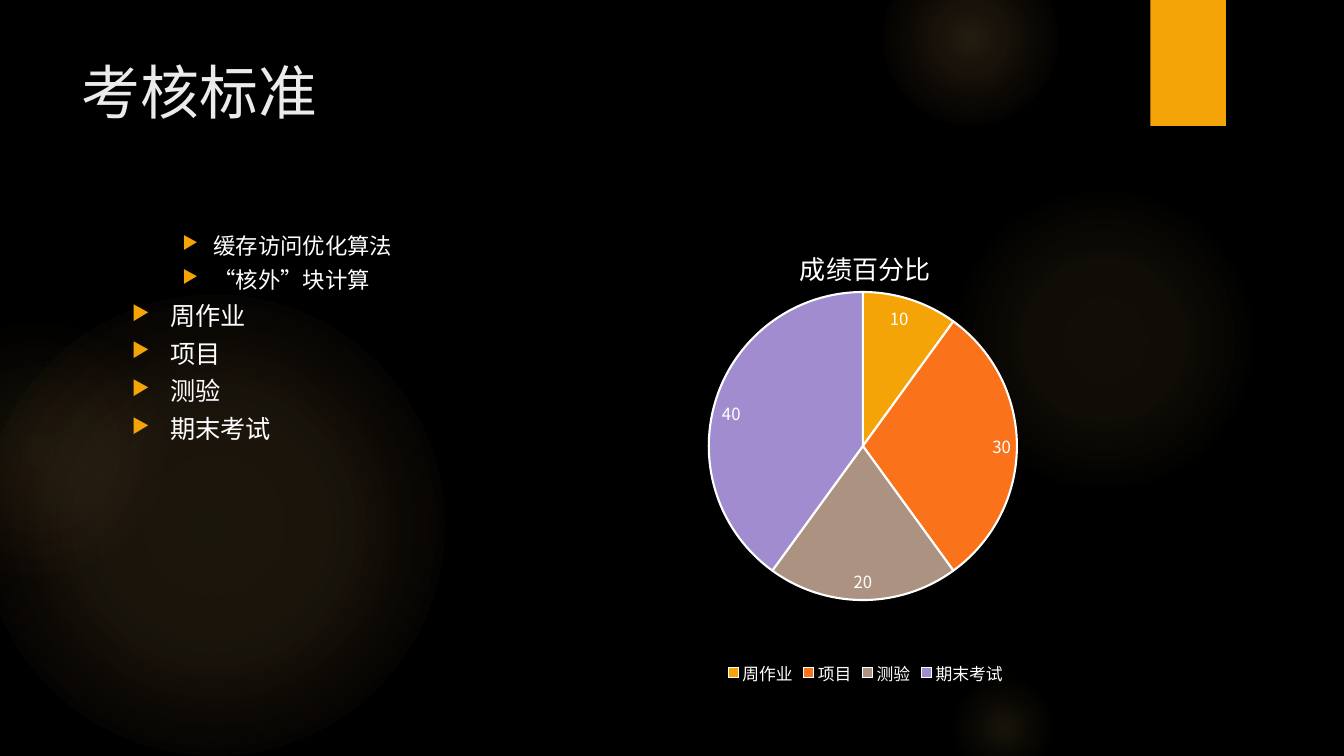
from lxml import etree
from pptx import Presentation
from pptx.chart.data import CategoryChartData
from pptx.dml.color import RGBColor
from pptx.enum.chart import XL_CHART_TYPE as ChartType
from pptx.enum.chart import XL_LABEL_POSITION as LabelPosition
from pptx.enum.chart import XL_LEGEND_POSITION as LegendPosition
from pptx.enum.shapes import MSO_SHAPE as Shape
from pptx.enum.text import MSO_ANCHOR as Anchor
from pptx.enum.text import MSO_AUTO_SIZE as AutoSize
from pptx.enum.text import PP_ALIGN as Align
from pptx.oxml import parse_xml
from pptx.oxml.ns import nsdecls, qn
from pptx.util import Inches, Pt

BLACK = RGBColor(0x00, 0x00, 0x00)
WHITE = RGBColor(0xFF, 0xFF, 0xFF)
TITLE_GRAY = RGBColor(0xEB, 0xEB, 0xEB)
AMBER = RGBColor(0xF5, 0xA4, 0x08)
ORANGE = RGBColor(0xFA, 0x73, 0x1A)
TAUPE = RGBColor(0xAB, 0x92, 0x81)
LILAC = RGBColor(0xA1, 0x8C, 0xD0)
GLOW = RGBColor(0xFA, 0xC9, 0x6A)
GLOW_PINK = RGBColor(0xF5, 0x9B, 0x74)
LATIN_FONT = "Quicksand"
CHINESE_FONT = "Noto Sans CJK SC"

TITLE = "考核标准"
POINTS = [
    ("缓存访问优化算法", 1),
    ("“核外”块计算", 1),
    ("周作业", 0),
    ("项目", 0),
    ("测验", 0),
    ("期末考试", 0),
]
LEVELS = [(18, 0.38, 0.38), (16, 0.81, 0.31)]
CHART_TITLE = "成绩百分比"
GRADES = [
    ("周作业", 10, AMBER),
    ("项目", 30, ORANGE),
    ("测验", 20, TAUPE),
    ("期末考试", 40, LILAC),
]
GLOWS = [
    (-0.17, 2.92, 4.58, [(0, 11), (36, 10), (75, 0)], GLOW),
    (-0.92, 3.17, 2.58, [(0, 8), (36, 5), (71, 0)], GLOW_PINK),
    (9.41, 1.83, 3.08, [(0, 7), (36, 6), (69, 0)], GLOW),
    (8.75, -0.5, 1.75, [(0, 14), (36, 7), (73, 0)], GLOW),
    (9.41, 6.67, 1.08, [(0, 10), (31, 5), (66, 0)], GLOW),
]
COLUMN_LEFTS = (1.21, 6.18)
CONTENT_TOP, CONTENT_WIDTH, CONTENT_HEIGHT = 2.25, 4.81, 4.59
PLOT_AREA = {"x": 0.176, "y": 0.141, "w": 0.637, "h": 0.666}


def box(left, top, width, height):
    return [Inches(value) for value in (left, top, width, height)]


def style_font(font, size, color=WHITE, name=CHINESE_FONT):
    font.size, font.name = Pt(size), name
    font.color.rgb = color


def style_run(run, size, color):
    style_font(run.font, size, color, LATIN_FONT)
    properties = run.font._element
    properties.set("lang", "zh-CN")
    east_asian = etree.SubElement(properties, qn("a:ea"))
    east_asian.set("typeface", CHINESE_FONT)


def add_plain_shape(slide, kind, bounds):
    shape = slide.shapes.add_shape(kind, *bounds)
    shape.shadow.inherit = False
    shape.line.fill.background()
    return shape


def add_glow(slide, left, top, size, stops, edge_color):
    shape = add_plain_shape(slide, Shape.OVAL, box(left, top, size, size))
    colors = [GLOW, GLOW, edge_color]
    stop_xml = "".join(
        f'<a:gs pos="{position * 1000}"><a:srgbClr val="{color}">'
        f'<a:alpha val="{alpha * 1000}"/></a:srgbClr></a:gs>'
        for (position, alpha), color in zip(stops, colors)
    )
    gradient = parse_xml(
        f'<a:gradFill {nsdecls("a")} rotWithShape="1"><a:gsLst>{stop_xml}</a:gsLst>'
        '<a:path path="circle"><a:fillToRect l="50000" t="50000" r="50000" b="50000"/>'
        "</a:path></a:gradFill>"
    )
    shape._element.spPr.find(qn("a:prstGeom")).addnext(gradient)


def add_title(slide):
    title = slide.shapes.title
    title.left, title.top, title.width, title.height = box(0.71, 0.5, 10.29, 1.53)
    frame = title.text_frame
    frame.text = TITLE
    frame.vertical_anchor = Anchor.TOP
    frame.auto_size = AutoSize.NONE
    frame.paragraphs[0].alignment = Align.LEFT
    style_run(frame.paragraphs[0].runs[0], 42, TITLE_GRAY)


def add_points(slide, bounds):
    frame = slide.shapes.add_textbox(*bounds).text_frame
    frame.word_wrap = True
    for index, (text, level) in enumerate(POINTS):
        paragraph = frame.add_paragraph() if index else frame.paragraphs[0]
        size, margin, hanging = LEVELS[level]
        paragraph.text = text
        paragraph.level = level
        paragraph.space_after = Pt(5.3)
        style_run(paragraph.runs[0], size, WHITE)
        properties = paragraph._p.get_or_add_pPr()
        properties.set("marL", str(Inches(margin)))
        properties.set("indent", str(-Inches(hanging)))
        for bullet in (
            f'<a:buClr {nsdecls("a")}><a:srgbClr val="{AMBER}"/></a:buClr>',
            f'<a:buSzPct {nsdecls("a")} val="80000"/>',
            f'<a:buChar {nsdecls("a")} char="▶"/>',
        ):
            properties.append(parse_xml(bullet))


def add_grade_chart(slide, bounds):
    data = CategoryChartData()
    data.categories = [name for name, _, _ in GRADES]
    data.add_series(CHART_TITLE, [value for _, value, _ in GRADES])
    chart = slide.shapes.add_chart(ChartType.PIE, *bounds, data).chart
    style_font(chart.font, 10, name=LATIN_FONT)
    chart.has_title = True
    chart.chart_title.include_in_layout = False
    title_frame = chart.chart_title.text_frame
    title_frame.text = CHART_TITLE
    title_font = title_frame.paragraphs[0].runs[0].font
    style_font(title_font, 18.6)
    title_font.bold = False
    chart.has_legend = True
    chart.legend.position = LegendPosition.BOTTOM
    chart.legend.include_in_layout = False
    style_font(chart.legend.font, 12)

    plot = chart.plots[0]
    plot.vary_by_categories = True
    series = plot.series[0]
    for index, (_, _, color) in enumerate(GRADES):
        slice_format = series.points[index].format
        slice_format.fill.solid()
        slice_format.fill.fore_color.rgb = color
        slice_format.line.color.rgb = WHITE
        slice_format.line.width = Pt(1.5)
    labels = series.data_labels
    labels.show_value = True
    labels.position = LabelPosition.INSIDE_END
    style_font(labels.font, 12)

    plot_area = chart._chartSpace.chart.plotArea
    for old_layout in plot_area.findall(qn("c:layout")):
        plot_area.remove(old_layout)
    sizes = "".join(f'<c:{key} val="{share}"/>' for key, share in PLOT_AREA.items())
    plot_area.insert(0, parse_xml(
        f'<c:layout {nsdecls("c")}><c:manualLayout><c:layoutTarget val="inner"/>'
        f'<c:xMode val="edge"/><c:yMode val="edge"/>{sizes}</c:manualLayout></c:layout>'
    ))


def main():
    presentation = Presentation()
    presentation.slide_width, presentation.slide_height = Inches(13.33), Inches(7.5)
    slide = presentation.slides.add_slide(presentation.slide_layouts[5])
    slide.background.fill.solid()
    slide.background.fill.fore_color.rgb = BLACK
    for glow in GLOWS:
        add_glow(slide, *glow)
    tab = add_plain_shape(slide, Shape.RECTANGLE, box(11.41, 0, 0.75, 1.25))
    tab.fill.solid()
    tab.fill.fore_color.rgb = AMBER
    add_title(slide)
    for add_content, left in zip((add_points, add_grade_chart), COLUMN_LEFTS):
        add_content(slide, box(left, CONTENT_TOP, CONTENT_WIDTH, CONTENT_HEIGHT))
    presentation.save("out.pptx")


if __name__ == "__main__":
    main()
